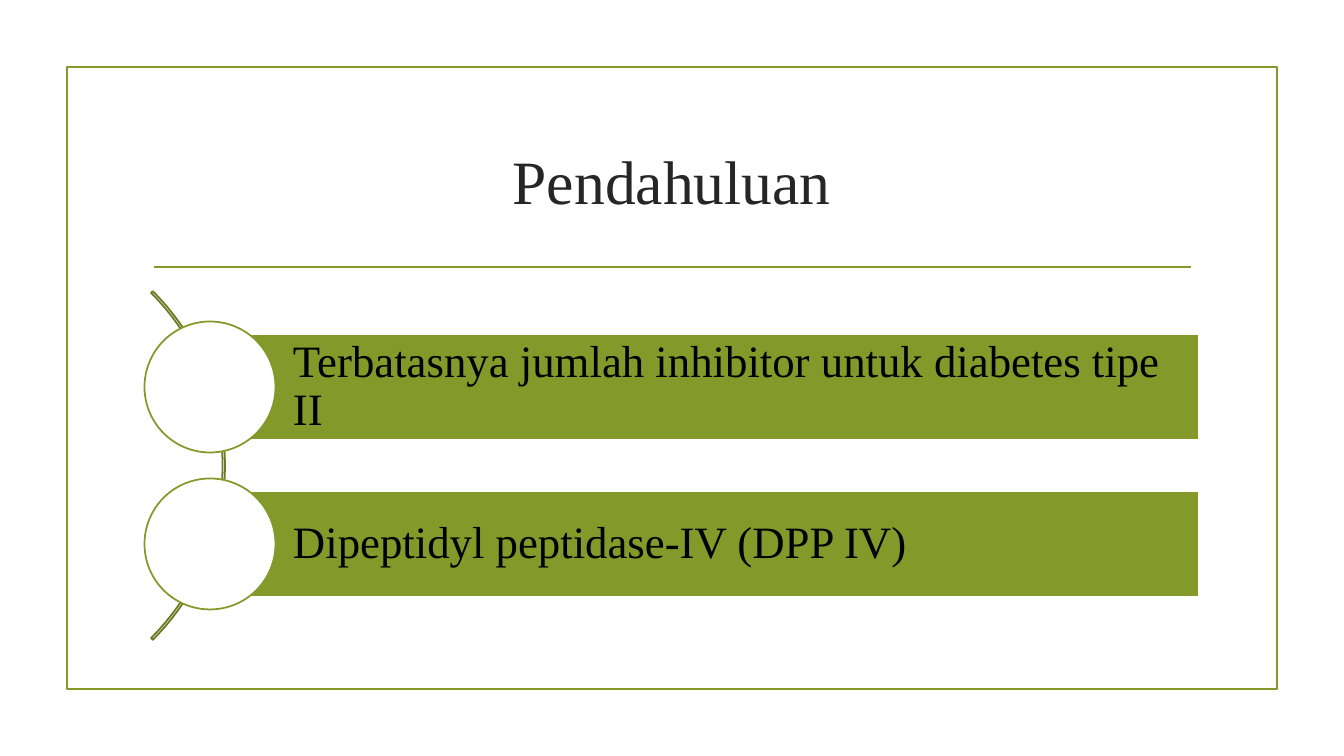
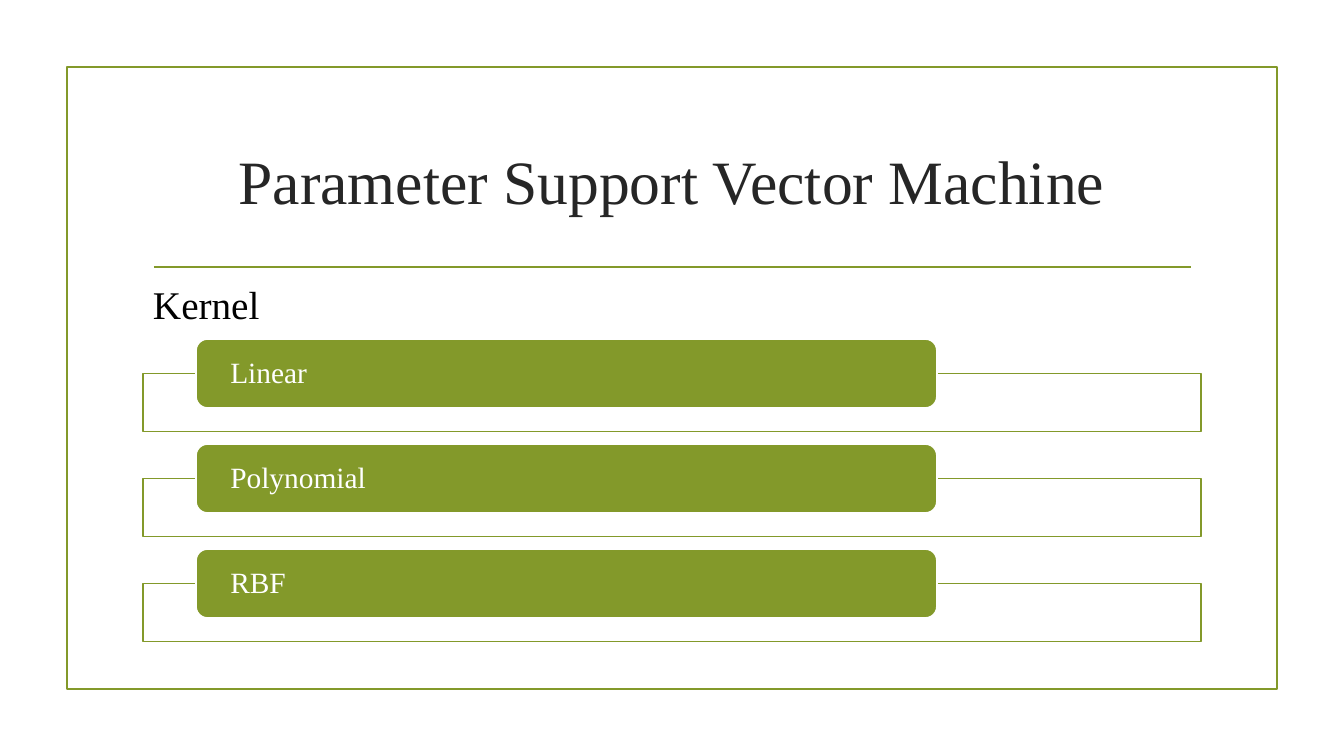
from collections import namedtuple

from lxml import etree
from pptx import Presentation
from pptx import util as u
from pptx.dml.color import RGBColor
from pptx.enum import shapes, text
from pptx.oxml.ns import qn

EMU_PER_PX = 914400 / 100.8
FONT = "Times New Roman"
COLORS = {
    "green": "83992A",
    "dark_green": "697B22",
    "white": "FFFFFF",
    "black": "000000",
    "title": "262626",
}
LINE_WIDTH = u.Pt(1.25)
Box = namedtuple("Box", "left top width height")

PAGE = Box(0, 0, 1344, 756)
FRAME = Box(67, 67, 1210, 622)
TITLE = Box(143, 108, 1058, 144)
RULE = Box(154, 267, 1037, 0)
CONTENT = Box(143, 275, 1058, 381)


def px(length):
    return u.Emu(round(length * EMU_PER_PX))


def color(name):
    return RGBColor.from_string(COLORS[name])


def write_text(shape, words, size, ink, align=text.PP_ALIGN.LEFT,
               anchor=text.MSO_ANCHOR.MIDDLE, insets=(10, 5, 10, 5), spacing=1.0):
    """Fill a shape with one paragraph; insets are left, top, right, bottom in px."""
    frame = shape.text_frame
    frame.word_wrap = True
    frame.vertical_anchor = anchor
    (frame.margin_left, frame.margin_top,
     frame.margin_right, frame.margin_bottom) = map(px, insets)
    para = frame.paragraphs[0]
    para.alignment = align
    para.line_spacing = spacing
    span = para.add_run()
    span.text = words
    span.font.name = FONT
    span.font.size = u.Pt(size)
    span.font.color.rgb = color(ink)


def draw_shape(page, kind, box, fill=None, line="green"):
    shape = page.shapes.add_shape(kind, *map(px, box))
    shape.shadow.inherit = False
    if fill:
        shape.fill.solid()
        shape.fill.fore_color.rgb = color(fill)
    else:
        shape.fill.background()
    shape.line.color.rgb = color(line)
    shape.line.width = LINE_WIDTH
    return shape


def draw_rule(page, box):
    rule = page.shapes.add_connector(
        shapes.MSO_CONNECTOR.STRAIGHT, px(box.left), px(box.top),
        px(box.left + box.width), px(box.top + box.height))
    rule.line.color.rgb = color("green")
    rule.line.width = LINE_WIDTH
    etree.SubElement(rule._element.spPr, qn("a:effectLst"))


def add_page(deck, heading):
    """Add a slide with the shared frame, rule and title."""
    page = deck.slides.add_slide(deck.slide_layouts.get_by_name("Title Only"))
    draw_shape(page, shapes.MSO_SHAPE.RECTANGLE, FRAME)
    draw_rule(page, RULE)
    title = page.shapes.title
    title.left, title.top, title.width, title.height = map(px, TITLE)
    write_text(title, heading, 44, "title", align=text.PP_ALIGN.CENTER)
    return page


def draw_curved_list(page, box, items):
    """Bars with circles strung along an arc, centred vertically in the box."""
    pitch, bar_height, circle, arc_size = 157, 105, 131, 493
    axis = box.left + 67
    middle = box.top + box.height / 2

    arc = draw_shape(page, shapes.MSO_SHAPE.BLOCK_ARC,
                     Box(box.left - 411, middle - arc_size / 2, arc_size, arc_size),
                     line="dark_green")
    for index, value in enumerate((189, 27, 0.005)):
        arc.adjustments[index] = value

    for index, item in enumerate(items):
        center = middle + (index - (len(items) - 1) / 2) * pitch
        bar = draw_shape(page, shapes.MSO_SHAPE.RECTANGLE,
                         Box(axis, center - bar_height / 2, box.width - 69, bar_height),
                         fill="green", line="white")
        write_text(bar, item, 32, "black", insets=(83, 9, 9, 9), spacing=0.9)
        draw_shape(page, shapes.MSO_SHAPE.OVAL,
                   Box(axis - circle / 2, center - circle / 2, circle, circle),
                   fill="white")


def draw_tab_list(page, box, label, items):
    """A label above open boxes, each headed by a rounded tab."""
    pitch, tab_height = 105, 69
    for index, item in enumerate(items):
        top = box.top + 64 + index * pitch
        draw_shape(page, shapes.MSO_SHAPE.RECTANGLE,
                   Box(box.left, top + tab_height / 2, box.width, 58), fill="white")
        tab = draw_shape(page, shapes.MSO_SHAPE.ROUNDED_RECTANGLE,
                         Box(box.left + 53, top, 741, tab_height),
                         fill="green", line="white")
        write_text(tab, item, 21, "white", insets=(31, 0, 31, 0), spacing=0.9)
    caption = page.shapes.add_textbox(*map(px, Box(box.left, box.top, 363, 57)))
    write_text(caption, label, 28, "black", anchor=text.MSO_ANCHOR.TOP)


def main():
    deck = Presentation()
    deck.slide_width, deck.slide_height = px(PAGE.width), px(PAGE.height)

    draw_curved_list(add_page(deck, "Pendahuluan"), CONTENT, [
        "Terbatasnya jumlah inhibitor untuk diabetes tipe II",
        "Dipeptidyl peptidase-IV (DPP IV)",
    ])
    draw_tab_list(add_page(deck, "Parameter Support Vector Machine"), CONTENT,
                  "Kernel", ["Linear", "Polynomial", "RBF"])

    deck.save("out.pptx")


if __name__ == "__main__":
    main()
